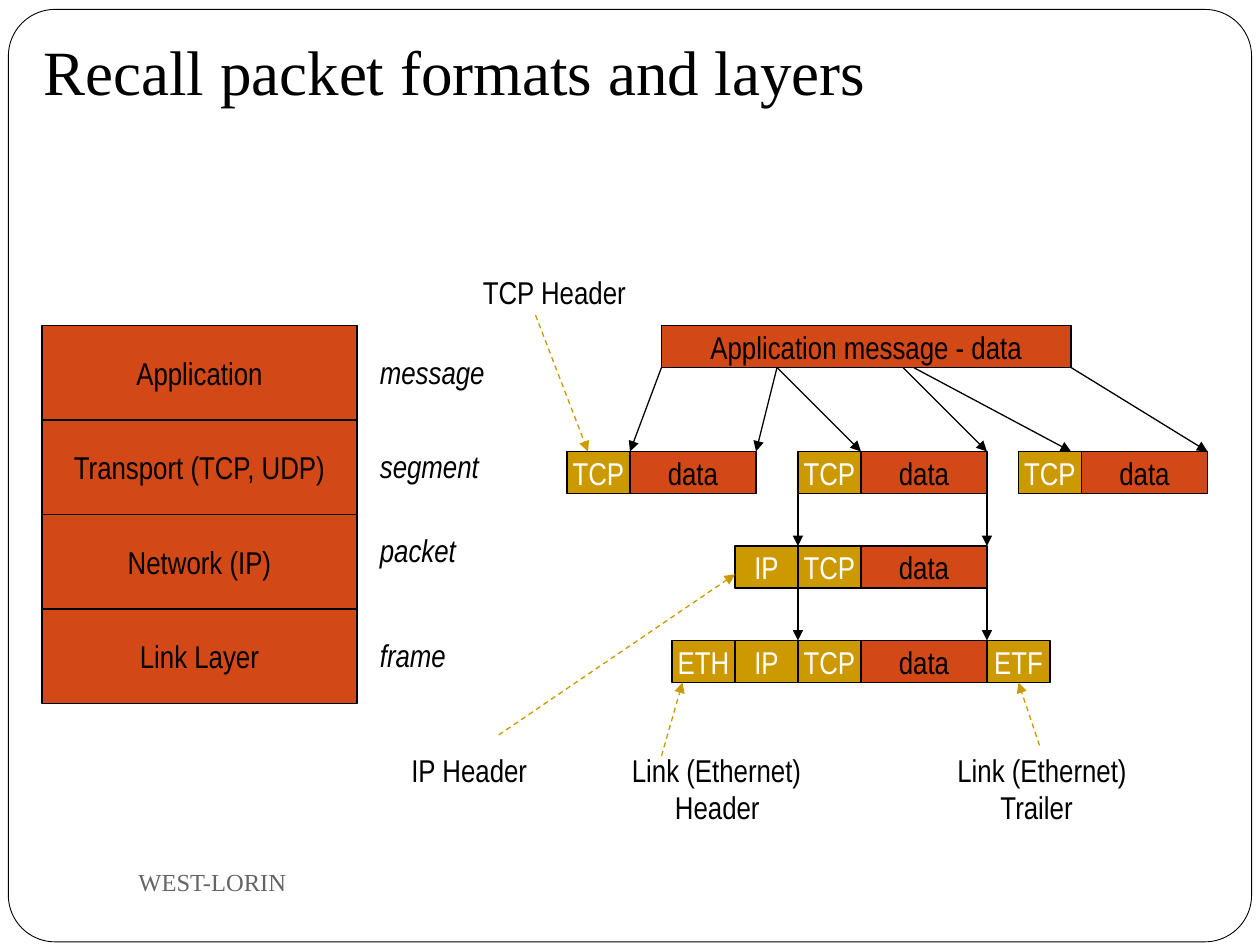
import dataclasses

import pptx
import pptx.dml.color
import pptx.enum.dml
import pptx.enum.shapes
import pptx.enum.text
import pptx.oxml
import pptx.oxml.ns
import pptx.util

Shape = pptx.enum.shapes.MSO_SHAPE
Anchor = pptx.enum.text.MSO_ANCHOR
Align = pptx.enum.text.PP_ALIGN


@dataclasses.dataclass(frozen=True)
class Theme:
    black: str = "000000"
    white: str = "FFFFFF"
    gray: str = "696464"
    rust: str = "D34817"
    gold: str = "CC9900"
    sans: str = "Arial Narrow"
    serif: str = "Times New Roman"
    head: int = 36
    body: int = 18
    foot: int = 14
    line: float = 0.75
    edge: float = 0.5


@dataclasses.dataclass(frozen=True)
class Row:
    """Cells side by side, as (text, width) pairs."""
    col: float
    top: float
    cells: tuple
    high: float = 4


@dataclasses.dataclass(frozen=True)
class Arrow:
    start: tuple
    end: tuple
    note: bool = False


@dataclasses.dataclass(frozen=True)
class Label:
    col: float
    top: float
    wide: float
    lines: tuple
    slant: bool = False


THEME = Theme()
COLS, ROWS = 120, 90  # twelve units to the inch
HIGH = 9
TCP, DATA, IP = ("TCP", 6), ("data", 12), ("IP", 6)

STACK = ("Application", "Transport (TCP, UDP)", "Network (IP)", "Link Layer")
BARS = [Row(4, 31 + HIGH * i, ((name, 30),), HIGH) for i, name in enumerate(STACK)]
BARS += [Row(63, 31, (("Application message - data", 39),))]
BARS += [Row(col, 43, (TCP, DATA)) for col in (54, 76, 97)]
BARS += [
    Row(70, 52, (IP, TCP, DATA)),
    Row(64, 61, (("ETH", 6), IP, TCP, DATA, ("ETF", 6))),
]

SPLITS = ((63, 60), (74, 72), (74, 82), (86, 94), (87, 102), (102, 115))
ARROWS = [Arrow((a, 35), (b, 43)) for a, b in SPLITS]
ARROWS += [Arrow((col, a), (col, b)) for a, b in ((47, 52), (56, 61)) for col in (76, 94)]
ARROWS += [
    Arrow((51, 30), (56, 43), True),
    Arrow((47.5, 70), (70, 54.7), True),
    Arrow((63, 72), (65, 65), True),
    Arrow((99, 71), (97, 65), True),
]

LABELS = [
    Label(44.8, 25.4, 16.1, ("TCP Header",)),
    Label(38, 70.9, 13.4, ("IP Header",)),
    Label(59, 70.9, 18.6, ("Link (Ethernet)", "Header")),
    Label(90, 70.9, 18.6, ("Link (Ethernet)", "Trailer")),
    Label(35, 33, 12.4, ("message",), True),
    Label(35, 42, 12.6, ("segment",), True),
    Label(35, 50, 9.7, ("packet",), True),
    Label(35, 60, 8.8, ("frame",), True),
]

deck = pptx.Presentation()
deck.slide_width, deck.slide_height = pptx.util.Inches(10), pptx.util.Inches(7.5)
slide = deck.slides.add_slide(deck.slide_layouts[6])


def across(cols: float) -> int:
    return round(deck.slide_width * cols / COLS)


def down(rows: float) -> int:
    return round(deck.slide_height * rows / ROWS)


def area(col: float, top: float, wide: float, high: float) -> tuple:
    return across(col), down(top), across(wide), down(high)


def rgb(tint: str) -> pptx.dml.color.RGBColor:
    return pptx.dml.color.RGBColor.from_string(tint)


def style(para, tint: str, size: int = THEME.body, face: str = THEME.sans) -> None:
    para.font.name = face
    para.font.size = pptx.util.Pt(size)
    para.font.color.rgb = rgb(tint)


def box(kind: Shape, place: tuple, fill: str, width: float):
    shape = slide.shapes.add_shape(kind, *place)
    shape.shadow.inherit = False
    shape.fill.solid()
    shape.fill.fore_color.rgb = rgb(fill)
    shape.line.color.rgb = rgb(THEME.black)
    shape.line.width = pptx.util.Pt(width)
    return shape


def draw_row(row: Row) -> None:
    col = row.col
    for text, wide in row.cells:
        head = wide == TCP[1]
        place = area(col, row.top, wide, row.high)
        cell = box(Shape.RECTANGLE, place, THEME.gold if head else THEME.rust, THEME.line)
        frame = cell.text_frame
        frame.word_wrap = False
        frame.vertical_anchor = Anchor.MIDDLE
        frame.text = text
        para = frame.paragraphs[0]
        para.alignment = Align.CENTER
        style(para, THEME.white if head else THEME.black)
        col += wide


def draw_arrow(arrow: Arrow) -> None:
    (ax, ay), (bx, by) = arrow.start, arrow.end
    link = slide.shapes.add_connector(
        pptx.enum.shapes.MSO_CONNECTOR.STRAIGHT,
        across(ax), down(ay), across(bx), down(by))
    link.line.color.rgb = rgb(THEME.gold if arrow.note else THEME.black)
    link.line.width = pptx.util.Pt(THEME.line)
    if arrow.note:
        link.line.dash_style = pptx.enum.dml.MSO_LINE.DASH
    qn = pptx.oxml.ns.qn
    props = link._element.spPr
    tip = props.find(qn("a:ln")).makeelement(qn("a:tailEnd"), {"type": "triangle"})
    props.find(qn("a:ln")).append(tip)
    props.append(props.makeelement(qn("a:effectLst"), {}))


def draw_label(label: Label) -> None:
    high = 1.2 + 3.6 * len(label.lines)
    place = area(label.col, label.top, label.wide, high)
    frame = slide.shapes.add_textbox(*place).text_frame
    frame.word_wrap = False
    frame.text = "\n".join(label.lines)
    for i, para in enumerate(frame.paragraphs):
        style(para, THEME.black)
        para.font.italic = label.slant
        if i:
            para._p.get_or_add_pPr().set("marL", str(across(4.1)))


def draw_text(text: str, place: tuple, anchor: Anchor, tint: str, size: int):
    frame = slide.shapes.add_textbox(*place).text_frame
    frame.word_wrap = True
    frame.vertical_anchor = anchor
    frame.text = text
    style(frame.paragraphs[0], tint, size, THEME.serif)
    return frame


def main() -> None:
    border = box(Shape.ROUNDED_RECTANGLE, area(0.8, 0.9, 118.4, 88.8), THEME.white, THEME.edge)
    border.adjustments[0] = 0.05
    title = draw_text("Recall packet formats and layers", area(3, 4, 102, 7.5),
                      Anchor.BOTTOM, THEME.black, THEME.head)
    title.margin_bottom = pptx.util.Inches(0.1)
    for row in BARS:
        draw_row(row)
    for arrow in ARROWS:
        draw_arrow(arrow)
    for label in LABELS:
        draw_label(label)
    draw_text("WEST-LORIN", area(12, 81, 52, 6), Anchor.MIDDLE, THEME.gray, THEME.foot)
    deck.save("out.pptx")


if __name__ == "__main__":
    main()
